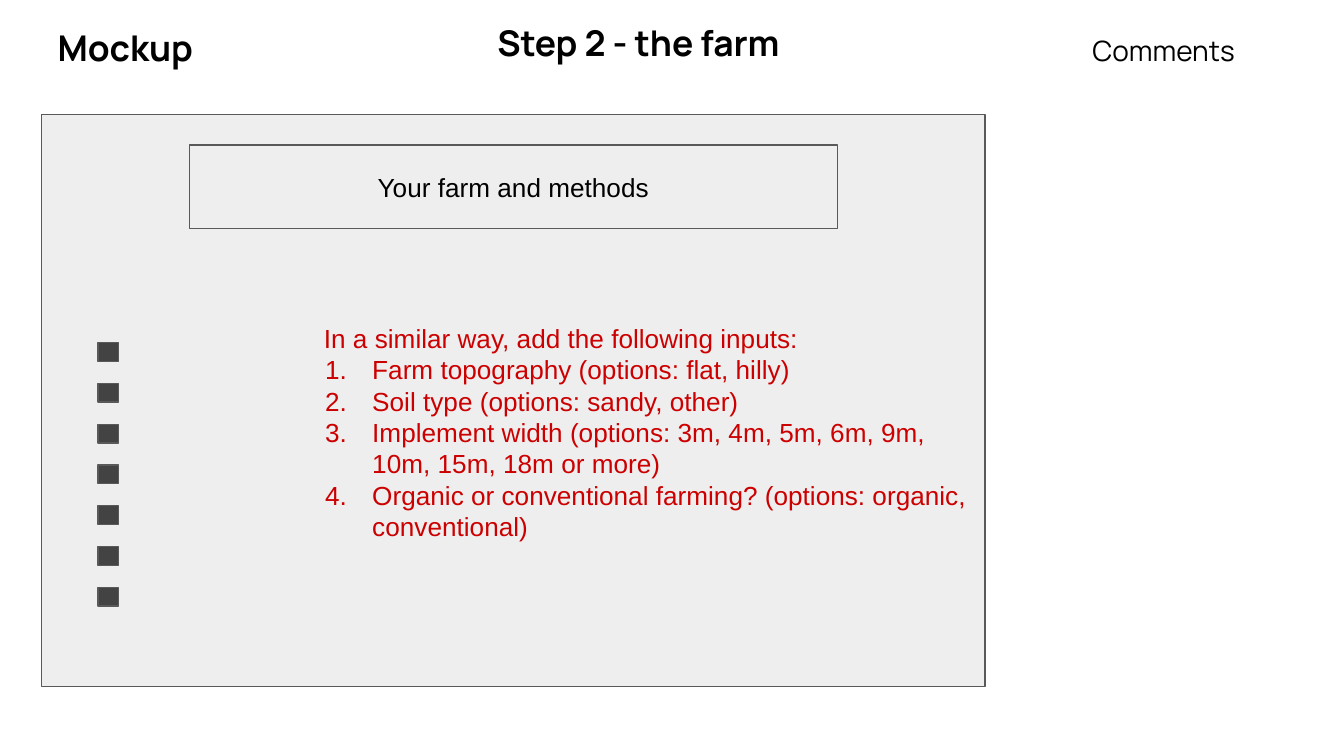
"""Build the farm step mockup slide."""
from dataclasses import dataclass

from lxml.etree import SubElement
from pptx import Presentation
from pptx.dml.color import RGBColor
from pptx.enum.shapes import MSO_SHAPE
from pptx.enum.text import MSO_ANCHOR, MSO_AUTO_SIZE, PP_ALIGN
from pptx.oxml.ns import qn
from pptx.util import Inches, Pt

BLACK, RED = "000000", "CC0000"
PANEL_FILL, MARKER_FILL, OUTLINE = "EEEEEE", "434343", "595959"
INPUTS = [
    "Farm topography (options: flat, hilly)",
    "Soil type (options: sandy, other)",
    "Implement width (options: 3m, 4m, 5m, 6m, 9m, 10m, 15m, 18m or more)",
    "Organic or conventional farming? (options: organic, conventional)",
]


@dataclass(frozen=True)
class Area:
    left: float
    top: float
    width: float
    height: float

    def lengths(self) -> tuple:
        return tuple(Inches(value) for value in (self.left, self.top, self.width, self.height))


@dataclass(frozen=True)
class Heading:
    text: str
    area: Area
    size: int
    bold: bool


PANEL = Area(0.31, 0.85, 7.02, 4.26)
BANNER = Area(1.41, 1.08, 4.82, 0.62)
TITLE = Heading("Step 2 - the farm", Area(3.6, 0.06, 3.09, 0.52), 19, True)
SIDE_HEADINGS = [
    Heading("Mockup", Area(0.33, 0.09, 6.21, 0.52), 19, True),
    Heading("Comments", Area(8.03, 0.15, 1.66, 0.45), 15, False),
]
MARKERS = [Area(0.73, 2.55 + row * 1.82 / 6, 0.15, 0.14) for row in range(7)]


def color(value: str) -> RGBColor:
    """Turn a hex string into a colour."""
    return RGBColor.from_string(value)


def place(shape, area: Area) -> None:
    """Move and size a shape."""
    shape.left, shape.top, shape.width, shape.height = area.lengths()


def paint(shape, fill: str) -> None:
    """Give a shape its fill and thin outline."""
    shape.fill.solid()
    shape.fill.fore_color.rgb = color(fill)
    shape.line.color.rgb = color(OUTLINE)
    shape.line.width = Pt(0.75)


def prepare_frame(frame, anchor=MSO_ANCHOR.TOP, top: float = 0.1) -> None:
    """Set wrapping, anchor and insets of a text frame."""
    frame.word_wrap = True
    frame.auto_size = MSO_AUTO_SIZE.NONE
    frame.vertical_anchor = anchor
    frame.margin_left = frame.margin_right = frame.margin_bottom = Inches(0.1)
    frame.margin_top = Inches(top)


def write(para, text: str, *, size: int = 14, font: str = "Arial", ink: str = BLACK,
          bold: bool = False, align=PP_ALIGN.LEFT) -> None:
    """Write one formatted span into a paragraph."""
    para.alignment = align
    para.space_before = Pt(0)
    span = para.add_run()
    span.text = text
    span.font.size = Pt(size)
    span.font.name = font
    span.font.bold = bold
    span.font.color.rgb = color(ink)


def set_list_format(para, left: float, first: float, numbered: bool) -> None:
    """Set the indents of a paragraph and its red number, if any."""
    para.space_before = Pt(0)
    properties = para._p.get_or_add_pPr()
    properties.set("marL", str(Inches(left)))
    properties.set("indent", str(Inches(first)))
    if numbered:
        number_color = SubElement(properties, qn("a:buClr"))
        SubElement(number_color, qn("a:srgbClr"), val=RED)
        SubElement(properties, qn("a:buFont"), typeface="Arial")
        SubElement(properties, qn("a:buAutoNum"), type="arabicPeriod")
    else:
        SubElement(properties, qn("a:buNone"))


def draw_box(page, area: Area, fill: str):
    """Draw an outlined rectangle."""
    box = page.shapes.add_shape(MSO_SHAPE.RECTANGLE, *area.lengths())
    box.shadow.inherit = False
    paint(box, fill)
    return box


def fill_heading(box, heading: Heading) -> None:
    """Write a heading into a box."""
    prepare_frame(box.text_frame)
    write(box.text_frame.paragraphs[0], heading.text, size=heading.size,
          font="Manrope", bold=heading.bold)


def fill_panel(panel) -> None:
    """Turn the body placeholder into the panel with its numbered inputs."""
    place(panel, PANEL)
    paint(panel, PANEL_FILL)
    frame = panel.text_frame
    prepare_frame(frame, MSO_ANCHOR.MIDDLE, top=0.57)
    intro = frame.paragraphs[0]
    set_list_format(intro, 1.5, 0.5, numbered=False)
    write(intro, "In a similar way, add the following inputs:", ink=RED)
    for text in INPUTS:
        para = frame.add_paragraph()
        set_list_format(para, 2.36, -0.35, numbered=True)
        write(para, text, ink=RED)


def main() -> None:
    """Build and save the deck."""
    deck = Presentation()
    deck.slide_width = Inches(10)
    deck.slide_height = deck.slide_width * 9 // 16
    page = deck.slides.add_slide(deck.slide_layouts[1])
    place(page.shapes.title, TITLE.area)
    fill_heading(page.shapes.title, TITLE)
    fill_panel(page.placeholders[1])
    for heading in SIDE_HEADINGS:
        fill_heading(page.shapes.add_textbox(*heading.area.lengths()), heading)
    banner = draw_box(page, BANNER, PANEL_FILL)
    prepare_frame(banner.text_frame, MSO_ANCHOR.MIDDLE)
    write(banner.text_frame.paragraphs[0], "Your farm and methods", align=PP_ALIGN.CENTER)
    for area in MARKERS:
        draw_box(page, area, MARKER_FILL)
    deck.save("out.pptx")


if __name__ == "__main__":
    main()
